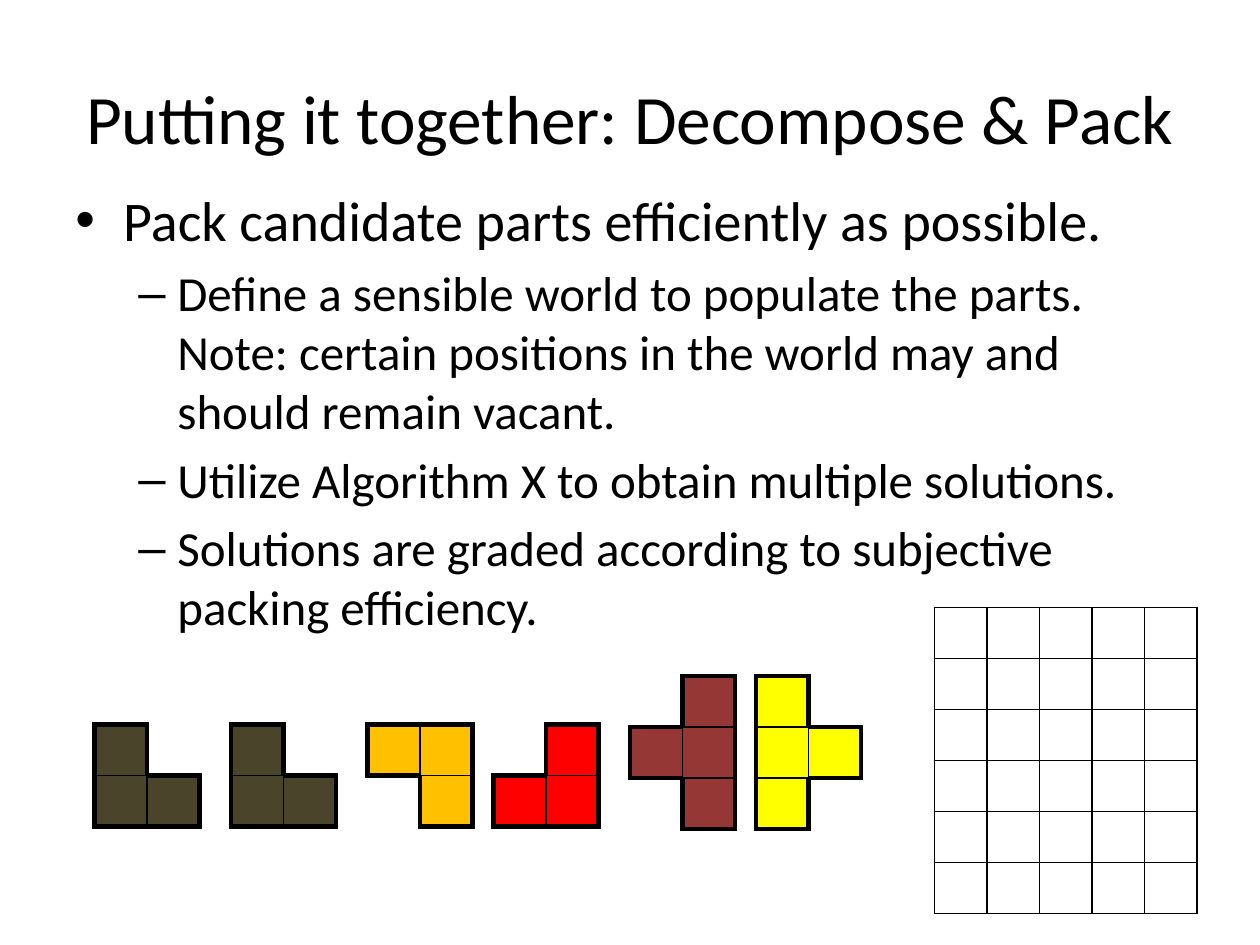
import pptx
import pptx.dml.color
import pptx.enum.text
import pptx.oxml.ns
import pptx.util
from lxml import etree

W, H = pptx.util.Inches(10), pptx.util.Inches(7.5)
COL, ROW = W / 24, pptx.util.Inches(0.405)
COLORS = {"ink": "000000", "board": "FFFFFF", "olive": "4A452A", "orange": "FFC000",
          "red": "FF0000", "brown": "953735", "yellow": "FFFF00"}
PIECES = [
    (1.8, 14.2, "olive", ["X.", "XX"]),
    (4.4, 14.2, "olive", ["X.", "XX"]),
    (7, 14.2, "orange", ["XX", ".X"]),
    (9.4, 14.2, "red", [".X", "XX"]),
    (12, 13.25, "brown", [".X", "XX", ".X"]),
    (14.4, 13.25, "yellow", ["X.", "XX", "X."]),
]
BULLETS = [
    (0, "Pack candidate parts efficiently as possible."),
    (1, "Define a sensible world to populate the parts. Note: certain positions "
        "in the world may and should remain vacant."),
    (1, "Utilize Algorithm X to obtain multiple solutions."),
    (1, "Solutions are graded according to subjective packing efficiency."),
]
LEVELS = [dict(size=32, char="•", left=0.38, hang=0.38),
          dict(size=28, char="–", left=0.81, hang=0.31)]
SIDES = {"lnL": (0, -1), "lnR": (0, 1), "lnT": (-1, 0), "lnB": (1, 0)}


def rgb(name):
    """Return the named colour."""
    return pptx.dml.color.RGBColor.from_string(COLORS[name])


def add(parent, tag, **attrs):
    """Append a DrawingML element."""
    return etree.SubElement(parent, pptx.oxml.ns.qn("a:" + tag), attrs)


def write(p, text, size, align=None, color="ink", font="Calibri"):
    """Write one formatted run into a paragraph."""
    p.alignment = align
    r = p.add_run()
    r.text = text
    r.font.size, r.font.name = pptx.util.Pt(size), font
    r.font.color.rgb = rgb(color)


def place_title(s, box, text):
    """Place the slide title in its box."""
    sp = s.shapes.title
    sp.left, sp.top, sp.width, sp.height = map(int, box)
    tf = sp.text_frame
    tf.vertical_anchor = pptx.enum.text.MSO_ANCHOR.MIDDLE
    write(tf.paragraphs[0], text, 39.6, align=pptx.enum.text.PP_ALIGN.CENTER)


def place_bullets(s, box, items):
    """Place the two-level bullet list in its box."""
    tf = s.shapes.add_textbox(*map(int, box)).text_frame
    tf.word_wrap = True
    for i, (level, text) in enumerate(items):
        p = tf.add_paragraph() if i else tf.paragraphs[0]
        style = LEVELS[level]
        p.level = level
        p.space_before = pptx.util.Pt(style["size"] * 0.2)
        write(p, text, style["size"])
        pPr = p._p.get_or_add_pPr()
        pPr.set("marL", str(pptx.util.Inches(style["left"])))
        pPr.set("indent", str(-pptx.util.Inches(style["hang"])))
        add(pPr, "buFont", typeface="Arial")
        add(pPr, "buChar", char=style["char"])


def set_border(cell, side, width):
    """Draw one side of a cell, or clear it when the width is zero."""
    ln = add(cell._tc.get_or_add_tcPr(), side, w=str(pptx.util.Pt(width)))
    if width:
        add(add(ln, "solidFill"), "srgbClr", val=COLORS["ink"])
    else:
        add(ln, "noFill")


def place_cells(s, col, row, color, pattern, outline=3):
    """Place a table whose marked cells are filled and outlined."""
    rows, cols = len(pattern), len(pattern[0])
    table = s.shapes.add_table(rows, cols, int(col * COL), int(row * ROW),
                               int(cols * COL), int(rows * ROW)).table
    table.first_row = table.horz_banding = False
    for line in table.rows:
        line.height = int(ROW)
    for line in table.columns:
        line.width = int(COL)

    def marked(i, j):
        """Tell whether a position holds a marked cell."""
        return 0 <= i < rows and 0 <= j < cols and pattern[i][j] == "X"

    for i in range(rows):
        for j in range(cols):
            cell = table.cell(i, j)
            cell.margin_top = cell.margin_bottom = 0
            for side, (di, dj) in SIDES.items():
                count = marked(i, j) + marked(i + di, j + dj)
                set_border(cell, side, (0, outline, 1)[count])
            if marked(i, j):
                cell.fill.solid()
                cell.fill.fore_color.rgb = rgb(color)
            else:
                cell.fill.background()


def main():
    """Build and save the slide."""
    prs = pptx.Presentation()
    prs.slide_width, prs.slide_height = W, H
    s = prs.slides.add_slide(prs.slide_layouts[5])
    place_title(s, (W * 0.05, H * 0.04, W * 0.9, H / 6),
                "Putting it together: Decompose & Pack")
    place_bullets(s, (W * 0.05, H * 0.19, W * 0.9, H * 0.66), BULLETS)
    for piece in PIECES:
        place_cells(s, *piece)
    place_cells(s, 17.8, 11.9, "board", ["XXXXX"] * 6, outline=1)
    prs.save("out.pptx")


if __name__ == "__main__":
    main()
